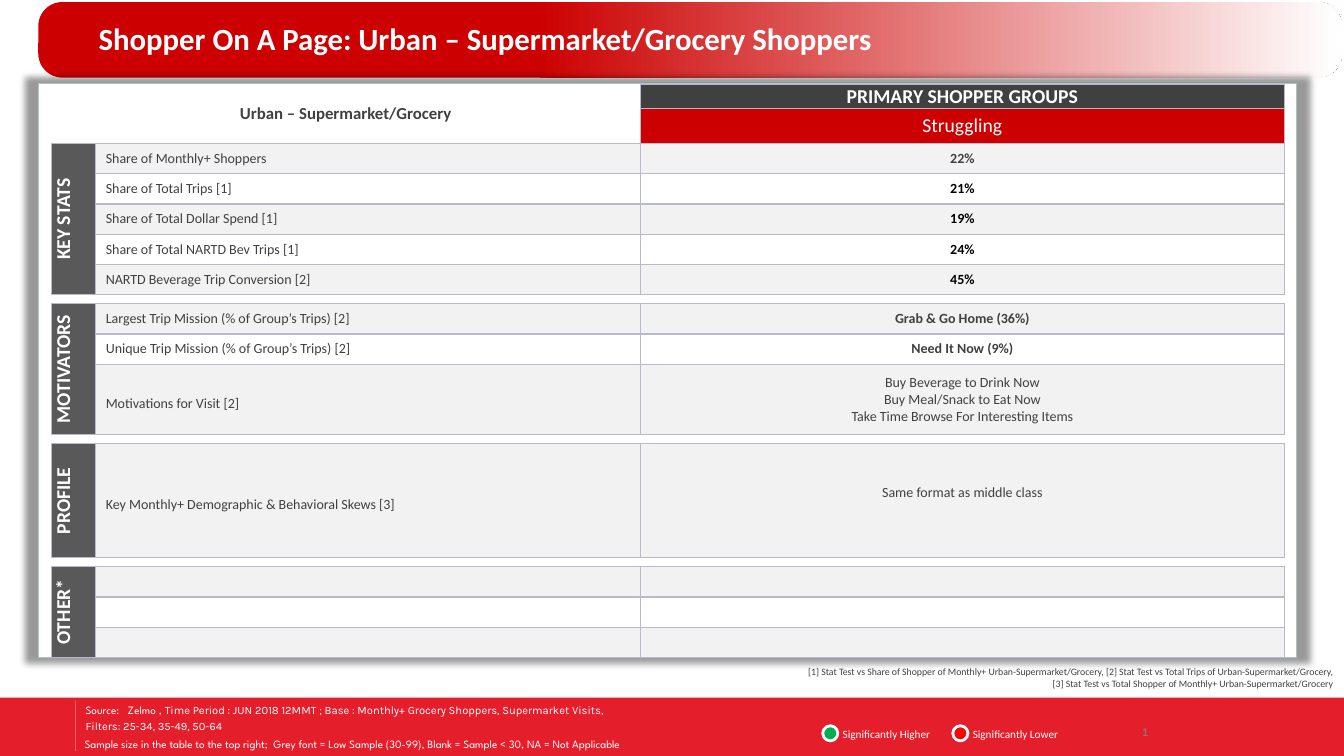
import pptx
import pptx.util
import pptx.dml.color
import pptx.enum.shapes
import pptx.enum.text
import pptx.oxml
import pptx.oxml.ns

Inches, Pt = pptx.util.Inches, pptx.util.Pt
RGBColor = pptx.dml.color.RGBColor
MSO_SHAPE = pptx.enum.shapes.MSO_SHAPE
ANCHOR = pptx.enum.text.MSO_ANCHOR
ALIGN = pptx.enum.text.PP_ALIGN
NAMESPACE = pptx.oxml.ns.nsdecls("a")

WHITE = RGBColor(0xFF, 0xFF, 0xFF)
BLACK = RGBColor(0, 0, 0)
RED = RGBColor(0xCC, 0, 0)
FOOTER_RED = RGBColor(0xE5, 0x1E, 0x2B)
HIGHER_GREEN = RGBColor(0, 0xB0, 0x50)
LOWER_RED = RGBColor(0xFF, 0, 0)
DARK = RGBColor(0x40, 0x40, 0x40)
LABEL_GREY = RGBColor(0x59, 0x59, 0x59)
NUMBER_GREY = RGBColor(0x80, 0x80, 0x80)
BAND_GREY = RGBColor(0xF2, 0xF2, 0xF2)
PANEL_LINE = RGBColor(0xAF, 0xC1, 0xC3)
BORDER = RGBColor(0xB8, 0xB8, 0xD0)

presentation = pptx.Presentation()
presentation.slide_width, presentation.slide_height = Inches(13.33), Inches(7.5)
slide = presentation.slides.add_slide(presentation.slide_layouts[6])


def fill_text(frame, lines, size, color, bold=False, align=ALIGN.LEFT, space_before=0):
    """Each line is a list of (text, font name) runs."""
    for index, line in enumerate(lines):
        paragraph = frame.paragraphs[0] if index == 0 else frame.add_paragraph()
        paragraph.alignment = align
        paragraph.space_before = Pt(space_before)
        for text, font_name in line:
            run = paragraph.add_run()
            run.text = text
            run.font.name, run.font.size, run.font.bold = font_name, Pt(size), bold
            run.font.color.rgb = color


def add_box(kind, left, top, width, height, fill=None, line=None, line_width=0.75):
    """Add a preset shape, or a text box when kind is None."""
    area = Inches(left), Inches(top), Inches(width), Inches(height)
    if kind is None:
        box = slide.shapes.add_textbox(*area)
        box.text_frame.word_wrap = True
        return box
    shape = slide.shapes.add_shape(kind, *area)
    shape.shadow.inherit = False
    if fill is not None:
        shape.fill.solid()
        shape.fill.fore_color.rgb = fill
    if line is None:
        shape.line.fill.background()
    else:
        shape.line.color.rgb = line
        shape.line.width = Pt(line_width)
    return shape


# Footer band, source notes and divider
add_box(MSO_SHAPE.RECTANGLE, -0.01, 6.92, 13.35, 0.59, FOOTER_RED)
source_lines = [
    [("Source:   Zelmo , ", "League Spartan"),
     ("Time Period : JUN 2018 12MMT ; Base : Monthly+ Grocery Shoppers, Supermarket Visits,", "Karla")],
    [("Filters: 25-34, 35-49, 50-64", "Karla")],
]
sample_lines = [[("Sample size in the table to the top right;  Grey font = Low Sample (30-99), "
                  "Blank = Sample < 30, NA = Not Applicable", "League Spartan")]]
for lines, left, top, width, height in (
    (source_lines, 0.75, 6.93, 6.51, 0.38),
    (sample_lines, 0.74, 7.22, 7.45, 0.33),
):
    frame = add_box(None, left, top, width, height).text_frame
    frame.vertical_anchor = ANCHOR.MIDDLE
    fill_text(frame, lines, 8, WHITE, space_before=1.6)

divider = slide.shapes.add_connector(
    pptx.enum.shapes.MSO_CONNECTOR.STRAIGHT, Inches(0.75), Inches(6.95), Inches(0.75), Inches(7.45))
divider.line.color.rgb = WHITE
divider.line.width = Pt(0.5)
divider_color = divider.line._ln.find(".//" + pptx.oxml.ns.qn("a:srgbClr"))
divider_color.append(pptx.oxml.parse_xml(f'<a:alpha {NAMESPACE} val="43000"/>'))
divider._element.spPr.append(pptx.oxml.parse_xml(f"<a:effectLst {NAMESPACE}/>"))

# Significance legend
for left, color, label in (
    (8.16, HIGHER_GREEN, "Significantly Higher"),
    (9.45, LOWER_RED, "Significantly Lower"),
):
    frame = add_box(None, left + 0.1, 7.18, 1.2, 0.2).text_frame
    frame.vertical_anchor = ANCHOR.MIDDLE
    fill_text(frame, [[(label, "Calibri")]], 8, WHITE, space_before=1.6)
    add_box(MSO_SHAPE.OVAL, left, 7.2, 0.15, 0.15, color, WHITE, 2)

# Title banner fading to white
banner = add_box(MSO_SHAPE.ROUNDED_RECTANGLE, 0.38, 0.02, 12.93, 0.75)
banner.adjustments[0] = 0.32
banner.fill.gradient()
banner.fill.gradient_angle = 0
first_stop, last_stop = banner.fill.gradient_stops
first_stop.color.rgb, first_stop.position = RED, 0.38
last_stop.color.rgb, last_stop.position = WHITE, 1
title = add_box(None, 0.88, 0.17, 8.82, 0.44).text_frame
title.vertical_anchor = ANCHOR.BOTTOM
fill_text(title, [[("Shopper On A Page: Urban – Supermarket/Grocery Shoppers", "Calibri")]],
          22, WHITE, True)
title.paragraphs[0].line_spacing = 0.85
title.paragraphs[0].space_after = Pt(12)

# Page number, set in two overlapping fonts
for font_name, anchor in (("Arial", ANCHOR.TOP), ("Calibri", ANCHOR.MIDDLE)):
    frame = add_box(None, 11.33, 7.2, 0.04, 0.13).text_frame
    frame.word_wrap = False
    frame.vertical_anchor = anchor
    frame.margin_left = frame.margin_right = frame.margin_top = frame.margin_bottom = 0
    fill_text(frame, [[("1", font_name)]], 8, NUMBER_GREY)

# White panel with a soft shadow all round
panel = add_box(MSO_SHAPE.RECTANGLE, 0.38, 0.83, 12.48, 5.69, WHITE, PANEL_LINE)
panel_effects = panel._element.spPr.find(pptx.oxml.ns.qn("a:effectLst"))
panel_effects.append(pptx.oxml.parse_xml(
    f'<a:outerShdw {NAMESPACE} blurRad="63500" sx="102000" sy="102000" algn="ctr" rotWithShape="0">'
    '<a:srgbClr val="000000"><a:alpha val="40000"/></a:srgbClr></a:outerShdw>'))

# Table: (height, section label, measure, value, value colour, value bold)
GAP = (0.09, None, None, None, None, False)
rows = [
    (0.23, "Urban – Supermarket/Grocery", "", "PRIMARY SHOPPER GROUPS", WHITE, True),
    (0.35, "", "", "Struggling", WHITE, False),
    (0.3, "KEY STATS", "Share of Monthly+ Shoppers", "22%", DARK, True),
    (0.3, "", "Share of Total Trips [1]", "21%", BLACK, True),
    (0.3, "", "Share of Total Dollar Spend [1]", "19%", BLACK, True),
    (0.3, "", "Share of Total NARTD Bev Trips [1]", "24%", BLACK, True),
    (0.3, "", "NARTD Beverage Trip Conversion [2]", "45%", BLACK, True),
    GAP,
    (0.3, "MOTIVATORS", "Largest Trip Mission (% of Group’s Trips) [2]", "Grab & Go Home (36%)", DARK, True),
    (0.3, "", "Unique Trip Mission (% of Group’s Trips) [2]", "Need It Now (9%)", DARK, True),
    (0.7, "", "Motivations for Visit [2]",
     "Buy Beverage to Drink Now\nBuy Meal/Snack to Eat Now\nTake Time Browse For Interesting Items", DARK, False),
    GAP,
    (1.13, "PROFILE", "Key Monthly+ Demographic & Behavioral Skews [3]", "Same format as middle class", DARK, False),
    GAP,
    (0.3, "OTHER*", "", "", DARK, False),
    (0.3, "", "", "", DARK, False),
    (0.3, "", "", "", DARK, False),
]
table = slide.shapes.add_table(
    len(rows), 3, Inches(0.51), Inches(0.84), Inches(12.23), Inches(5.68)).table
table.first_row = table.horz_banding = False
for column, width in zip(table.columns, (0.44, 5.4, 6.39)):
    column.width = Inches(width)

section_start = 0
for row, (height, *texts, value_color, value_bold) in enumerate(rows):
    table.rows[row].height = Inches(height)
    is_gap, is_header = texts[0] is None, row < 2
    if texts[0]:
        section_start = row
    banded = (row - section_start) % 2 == 0
    for column, text in enumerate(texts):
        cell = table.cell(row, column)
        cell.vertical_anchor = ANCHOR.MIDDLE
        cell.margin_left = Inches(0.1 if column == 1 else 0)
        cell.margin_right = cell.margin_top = cell.margin_bottom = 0

        # Borders: gap rows and the header's left part stay open at the sides
        properties = cell._tc.get_or_add_tcPr()
        sides = "TB" if is_gap else "B" if is_header and column < 2 else "LRTB"
        for side in "LRTB":
            paint = (f'<a:solidFill><a:srgbClr val="{BORDER}"/></a:solidFill>'
                     if side in sides else "<a:noFill/>")
            properties.append(pptx.oxml.parse_xml(f'<a:ln{side} {NAMESPACE} w="12700">{paint}</a:ln{side}>'))

        cell.fill.solid()
        if is_gap or (is_header and column < 2):
            cell.fill.fore_color.rgb = WHITE
        elif is_header:
            cell.fill.fore_color.rgb = DARK if row == 0 else RED
        elif column == 0:
            cell.fill.fore_color.rgb = LABEL_GREY
            properties.set("vert", "vert270")
        else:
            cell.fill.fore_color.rgb = BAND_GREY if banded else WHITE

        if not text:
            cell.text_frame.paragraphs[0]._p.get_or_add_endParaRPr().set("sz", "100")
            continue
        if column == 0:
            size, color, bold = (12, DARK, True) if is_header else (14, WHITE, True)
        elif column == 1:
            size, color, bold = 10, DARK, False
        else:
            size, color, bold = 14 if is_header else 10, value_color, value_bold
        fill_text(cell.text_frame, [[(line, "Calibri")] for line in text.split("\n")], size, color,
                  bold, ALIGN.LEFT if column == 1 else ALIGN.CENTER)
        if column == 1 and height > 0.5:
            cell.text_frame.paragraphs[0].line_spacing = 1.5
        if text.startswith("Same format"):
            cell.margin_bottom = Inches(0.17)

table.cell(0, 0).merge(table.cell(1, 1))
for first, last in ((2, 6), (8, 10), (14, 16)):
    table.cell(first, 0).merge(table.cell(last, 0))

# Statistical test notes
notes = add_box(None, 7.55, 6.56, 5.77, 0.34).text_frame
fill_text(notes, [
    [(" [1] Stat Test vs Share of Shopper of Monthly+ Urban-Supermarket/Grocery, "
      "[2] Stat Test vs Total Trips of Urban-Supermarket/Grocery,", "Calibri")],
    [(" [3] Stat Test vs Total Shopper of Monthly+ Urban-Supermarket/Grocery", "Calibri")],
], 7, DARK, align=ALIGN.RIGHT)

presentation.save("out.pptx")
